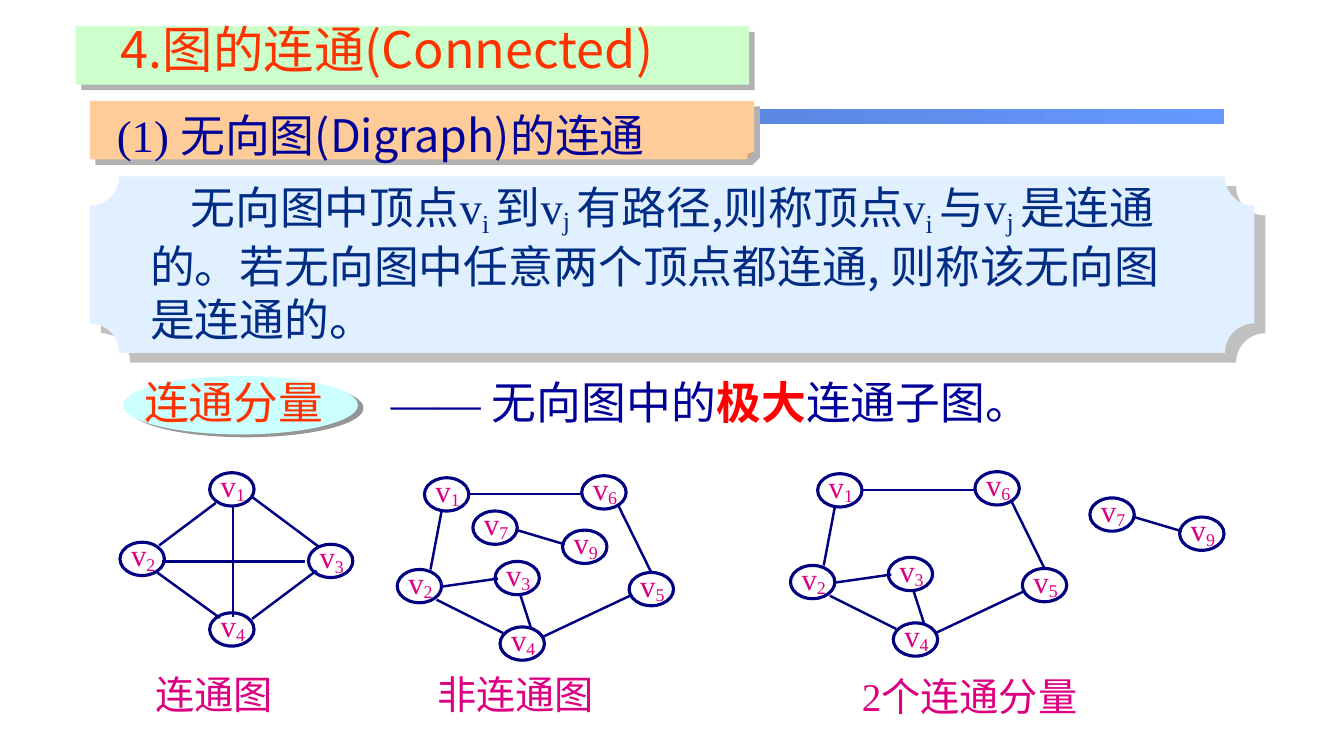
from lxml.etree import SubElement
from pptx import Presentation
from pptx.dml.color import RGBColor
from pptx.enum.shapes import MSO_CONNECTOR, MSO_SHAPE
from pptx.enum.text import MSO_AUTO_SIZE, PP_ALIGN
from pptx.oxml.ns import qn
from pptx.util import Inches, Pt

HAN, ROMAN = "Noto Sans CJK SC", "Times New Roman"
NAVY, ORANGE, PINK, EDGE = "000099", "FF3300", "DC0081", "000080"
NODE_WIDTH, NODE_HEIGHT = 0.44, 0.33
LABEL_SIZE, LABEL_RISE = (0.46, 0.47), 0.11

# Panels: preset, box, fill, adjustment, shadow (colour, distance, angle)
PANELS = [
    (MSO_SHAPE.FOLDED_CORNER, (0.89, 1, 6.59, 0.58), "FFCC99", 12500, ("B2B2B2", 5.7, 45)),
    (MSO_SHAPE.RECTANGLE, (0.75, 0.26, 6.68, 0.58), "CCFFCC", None, ("B2B2B2", 5.7, 45)),
    (MSO_SHAPE.OVAL, (1.22, 3.73, 2.33, 0.58), "CCFFFF", None, ("969696", 4.5, 27)),
    (MSO_SHAPE.PLAQUE, (0.89, 1.75, 11.55, 1.75), "E1F0FF", None, ("C0C0C0", 10.6, 41)),
]

# Texts: box, size, colour, runs of (text, font, baseline percent)
TEXTS = [
    ((1.06, 1.02, 7.18, 0.64), 32, NAVY,
     [("(1) ", ROMAN, 0), ("无向图(Digraph)的连通", HAN, 0)]),
    ((1.1, 0.13, 6.4, 0.71), 36, ORANGE, [("4.图的连通(Connected)", HAN, 0)]),
    ((8.45, 6.62, 3.11, 0.57), 28, PINK, [("2", ROMAN, 0), ("个连通分量", HAN, 0)]),
    ((1.44, 6.6, 1.76, 0.57), 28, PINK, [("连通图", HAN, 0)]),
    ((4.24, 6.6, 2.43, 0.57), 28, PINK, [("非连通图", HAN, 0)]),
]
TERM = ((1.33, 3.67, 2.89, 0.64), 32, ORANGE, [("连通分量", HAN, 0)])
MEANING = ((3.78, 3.67, 7, 0.64), 32, NAVY,
           [("—— ", ROMAN, 0), ("无向图中的", HAN, 0), ("极大", HAN, 0), ("连通子图。", HAN, 0)])
DEFINITION = ((1.39, 1.73, 10.54, 1.72), 32, "002C84", [
    ("无向图中顶点", HAN, 0), ("v", ROMAN, 0), ("i ", ROMAN, -20),
    ("到", HAN, 0), ("v", ROMAN, 0), ("j ", ROMAN, -14),
    ("有路径,则称顶点", HAN, 0), ("v", ROMAN, 0), ("i ", ROMAN, -20),
    ("与", HAN, 0), ("v", ROMAN, 0), ("j ", ROMAN, -16),
    ("是连通的。若无向图中任意两个顶点都连通, 则称该无向图是连通的。", HAN, 0)])

# Graphs: vertex number -> left, top; edges as x1, y1, x2, y2
DIAMOND = ({1: (2.08, 4.69), 2: (1.19, 5.38), 4: (2.08, 6.08), 3: (3.06, 5.4)},
           [(1.61, 5.57, 3.03, 5.57), (2.31, 5.03, 2.31, 6.12), (2.14, 4.99, 1.58, 5.41),
            (3.14, 5.66, 2.5, 6.14), (2.5, 4.93, 3.17, 5.43), (1.56, 5.68, 2.18, 6.13)])
RING = ({1: (4.21, 4.74), 6: (5.77, 4.72), 2: (3.94, 5.65),
         4: (4.96, 6.22), 5: (6.24, 5.68), 3: (4.91, 5.57)},
        [(4.38, 5.07, 4.27, 5.65), (4.66, 4.9, 5.77, 4.9), (6.27, 5.9, 5.38, 6.32),
         (4.33, 5.95, 4.99, 6.28), (6.13, 5.01, 6.46, 5.68),
         (4.38, 5.82, 4.94, 5.74), (5.16, 5.9, 5.27, 6.24)])
PAIR = ({7: (4.69, 5.07), 9: (5.58, 5.26)}, [(5.13, 5.26, 5.6, 5.4)])
# Each graph with its shift right and down
GRAPHS = [(RING, 0, 0), (PAIR, 0, 0), (DIAMOND, 0, 0),
          (RING, 3.9, -0.04), (PAIR, 6.12, -0.13)]

presentation = Presentation()
presentation.slide_width, presentation.slide_height = Inches(13.33), Inches(7.5)
slide = presentation.slides.add_slide(presentation.slide_layouts[6])
shapes = slide.shapes


def color(value):
    return RGBColor.from_string(value)


def inches(values):
    return [Inches(value) for value in values]


def add_shadow(effects, value, distance, angle):
    shadow = SubElement(effects, qn("a:outerShdw"), dist=str(int(Pt(distance))),
                        dir=str(angle * 60000), algn="ctr", rotWithShape="0")
    SubElement(shadow, qn("a:srgbClr"), val=value)


def add_panel(preset, box, fill, adjustment, shadow):
    shape = shapes.add_shape(preset, *inches(box))
    shape.shadow.inherit = False
    shape.fill.solid()
    shape.fill.fore_color.rgb = color(fill)
    shape.line.fill.background()
    properties = shape._element.spPr
    if adjustment is not None:
        guides = properties.find(qn("a:prstGeom")).find(qn("a:avLst"))
        SubElement(guides, qn("a:gd"), name="adj", fmla=f"val {adjustment}")
    add_shadow(properties.find(qn("a:effectLst")), *shadow)


def add_text(box, size, value, runs, wrap=True):
    frame = shapes.add_textbox(*inches(box)).text_frame
    frame.word_wrap = wrap
    frame.auto_size = MSO_AUTO_SIZE.SHAPE_TO_FIT_TEXT
    paragraph = frame.paragraphs[0]
    paragraph.font.size = Pt(size)
    paragraph.font.color.rgb = color(value)
    for text, font_name, baseline in runs:
        run = paragraph.add_run()
        run.text = text
        run.font.name = font_name
        properties = run._r.get_or_add_rPr()
        SubElement(properties, qn("a:ea"), typeface=font_name)
        if baseline:
            properties.set("baseline", str(baseline * 1000))
    return paragraph


def add_graph(vertices, edges, right, down):
    for left, top in vertices.values():
        node = shapes.add_shape(MSO_SHAPE.OVAL, *inches(
            (left + right, top + down, NODE_WIDTH, NODE_HEIGHT)))
        node.shadow.inherit = False
        node.fill.background()
        node.line.color.rgb = color(EDGE)
        node.line.width = Pt(2.25)
    for x1, y1, x2, y2 in edges:
        edge = shapes.add_connector(MSO_CONNECTOR.STRAIGHT, *inches(
            (x1 + right, y1 + down, x2 + right, y2 + down)))
        edge.line.color.rgb = color(EDGE)
        edge.line.width = Pt(1.75)
        SubElement(edge._element.spPr, qn("a:effectLst"))
    for number, (left, top) in vertices.items():
        box = (left + right, top + down - LABEL_RISE, *LABEL_SIZE)
        label = add_text(box, 22, PINK, [("v", ROMAN, 0), (str(number), ROMAN, -14)], wrap=False)
        label.alignment = PP_ALIGN.CENTER


# Gradient bar behind the headings
bar = shapes.add_shape(MSO_SHAPE.RECTANGLE, *inches((1.11, 1.08, 11.03, 0.15)))
bar.shadow.inherit = False
bar.line.fill.background()
bar.fill.gradient()
bar.fill.gradient_angle = 0
for stop, position, value in zip(bar.fill.gradient_stops, (0, 1), ("496DB6", "6699FF")):
    stop.position = position
    stop.color.rgb = color(value)

# Panels, headings and captions
for panel in PANELS:
    add_panel(*panel)
for text in TEXTS:
    add_text(*text)

# Term with a text shadow, and its meaning with one stressed word
term_run = add_text(*TERM).runs[0]
effects = SubElement(term_run._r.rPr, qn("a:effectLst"))
add_shadow(effects, "000000", 2, 45)
term_run._r.rPr.insert(0, effects)
stressed = add_text(*MEANING).runs[2].font
stressed.bold = True
stressed.color.rgb = color("FF0000")

# Definition with an indented first line
definition = add_text(*DEFINITION)
definition._p.get_or_add_pPr().set("indent", str(Inches(0.4)))

# Graphs
for (vertices, edges), right, down in GRAPHS:
    add_graph(vertices, edges, right, down)

presentation.save("out.pptx")
